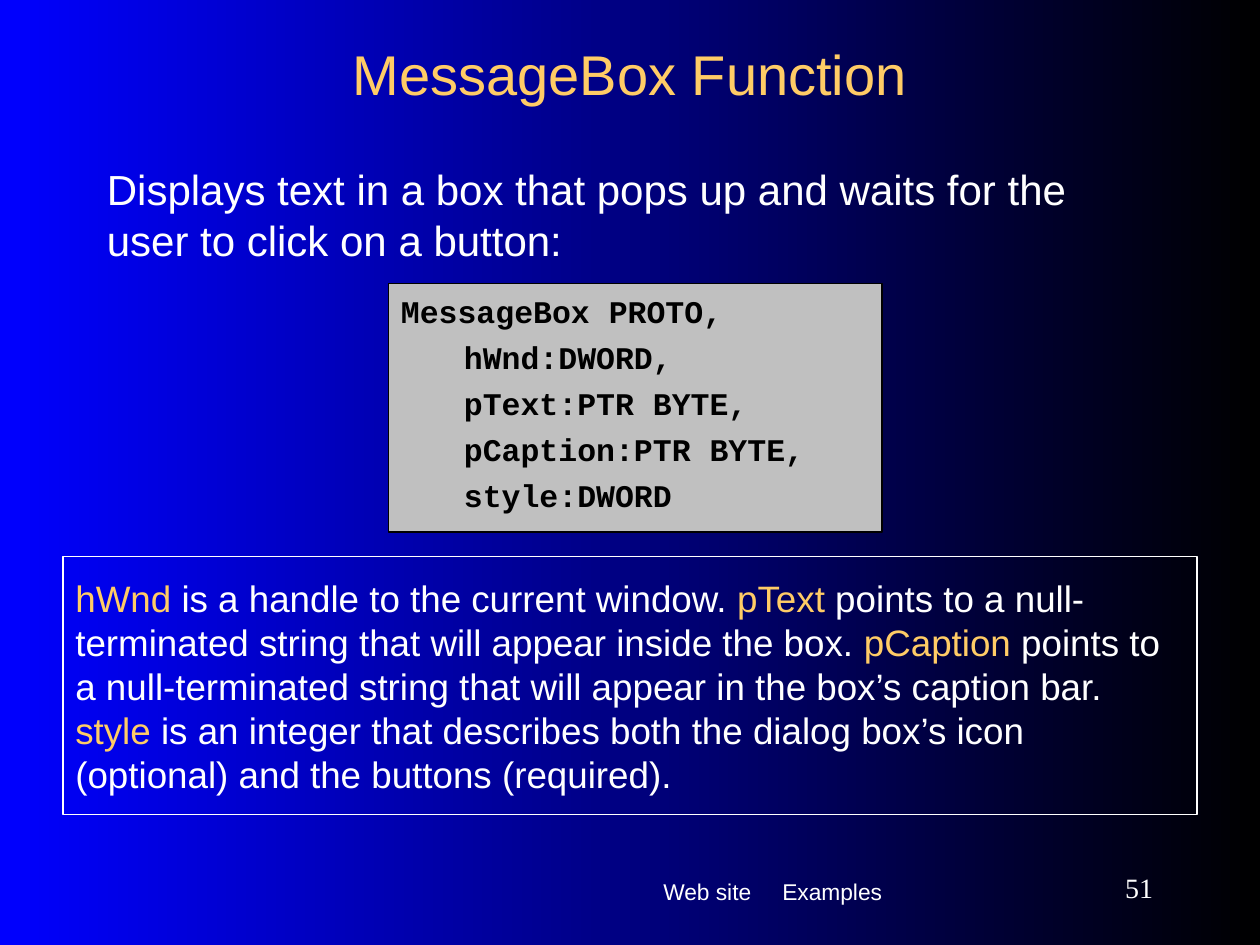
from pptx import Presentation
from pptx.dml.color import RGBColor
from pptx.enum.shapes import MSO_SHAPE
from pptx.enum.text import MSO_ANCHOR, MSO_AUTO_SIZE, PP_ALIGN
from pptx.oxml.ns import qn
from pptx.util import Pt
from lxml.etree import SubElement

BLACK = RGBColor(0, 0, 0)
BLUE = RGBColor(0, 0, 255)
WHITE = RGBColor(255, 255, 255)
GOLD = RGBColor(255, 204, 102)
SILVER = RGBColor(192, 192, 192)

PROTOTYPE = ["MessageBox PROTO,", "hWnd:DWORD,", "pText:PTR BYTE,",
             "pCaption:PTR BYTE,", "style:DWORD"]
PARAMETERS = [
    ("hWnd", " is a handle to the current window. "),
    ("pText", " points to a null-terminated string that will appear inside the box. "),
    ("pCaption", " points to a null-terminated string that will appear in the box’s caption bar. "),
    ("style", " is an integer that describes both the dialog box’s icon (optional) "
              "and the buttons (required)."),
]


def set_background(page):
    fill = page.background.fill
    fill.gradient()
    fill.gradient_angle = 180
    for stop, color in zip(fill.gradient_stops, (BLACK, BLUE)):
        stop.color.rgb = color


def set_frame(shape, margin=3.6, anchor=MSO_ANCHOR.TOP):
    frame = shape.text_frame
    frame.word_wrap = True
    frame.auto_size = MSO_AUTO_SIZE.NONE
    frame.vertical_anchor = anchor
    frame.margin_left = frame.margin_right = Pt(7.2)
    frame.margin_top = frame.margin_bottom = Pt(margin)
    return frame


def format_para(para, size, color=WHITE, name="Arial", align=PP_ALIGN.LEFT, before=0):
    para.alignment = align
    para.space_before = Pt(before)
    para.font.size = Pt(size)
    para.font.name = name
    para.font.color.rgb = color


def add_label(page, text, left, top, width, height, size, margin=3.6,
              anchor=MSO_ANCHOR.TOP, **style):
    box = page.shapes.add_textbox(Pt(left), Pt(top), Pt(width), Pt(height))
    para = set_frame(box, margin, anchor).paragraphs[0]
    para.text = text
    format_para(para, size, **style)
    return para


def add_panel(page, left, top, width, height, line, fill=None):
    panel = page.shapes.add_shape(MSO_SHAPE.RECTANGLE, Pt(left), Pt(top), Pt(width), Pt(height))
    panel.shadow.inherit = False
    if fill is None:
        panel.fill.background()
    else:
        panel.fill.solid()
        panel.fill.fore_color.rgb = fill
    panel.line.color.rgb = line
    panel.line.width = Pt(0.75)
    return set_frame(panel, margin=10.8)


def add_title(page, text):
    title = page.shapes.title
    title.left, title.top, title.width, title.height = Pt(54), Pt(18), Pt(612), Pt(48)
    para = set_frame(title, anchor=MSO_ANCHOR.MIDDLE).paragraphs[0]
    para.text = text
    format_para(para, 32, GOLD, align=PP_ALIGN.CENTER)


def add_code(page, lines):
    frame = add_panel(page, 222, 162, 282, 142, BLACK, SILVER)
    for index, line in enumerate(lines):
        para = frame.add_paragraph() if index else frame.paragraphs[0]
        para.text = line
        format_para(para, 18, BLACK, "Courier New", before=11.2)
        para.font.bold = True
        para.line_spacing = 0.7
        if index:  # parameters are indented below the name
            para._p.get_or_add_pPr().set("marL", str(Pt(36)))


def add_explanation(page, parameters):
    para = add_panel(page, 36, 318, 648, 147.6, WHITE).paragraphs[0]
    format_para(para, 21, before=13.1)
    for term, meaning in parameters:
        span = para.add_run()
        span.text = term
        span.font.color.rgb = GOLD
        span = para.add_run()
        span.text = meaning
        span.font.color.rgb = WHITE


def add_tab_stop(para, position):
    properties = para._p.get_or_add_pPr()
    stops = SubElement(properties, qn("a:tabLst"))
    SubElement(stops, qn("a:tab"), pos=str(Pt(position)), algn="l")
    # the schema wants tab stops ahead of the default run properties
    properties.find(qn("a:defRPr")).addprevious(stops)


def main():
    deck = Presentation()
    deck.slide_width, deck.slide_height = Pt(720), Pt(540)
    page = deck.slides.add_slide(deck.slide_layouts[5])
    set_background(page)

    # Footer links
    links = add_label(page, "Web site\tExamples", 372, 491, 246, 37.5, 13,
                      margin=10.8, before=8.1)
    add_tab_stop(links, 68)

    # Title and introduction
    add_title(page, "MessageBox Function")
    add_label(page, "Displays text in a box that pops up and waits for the user "
                    "to click on a button:", 54, 90, 612, 72, 24, before=6)

    # Prototype and its parameters
    add_code(page, PROTOTYPE)
    add_explanation(page, PARAMETERS)

    # Page number
    add_label(page, "51", 588, 492, 78, 30, 16, anchor=MSO_ANCHOR.MIDDLE,
              name="Times New Roman", align=PP_ALIGN.RIGHT)

    deck.save("out.pptx")


if __name__ == "__main__":
    main()
